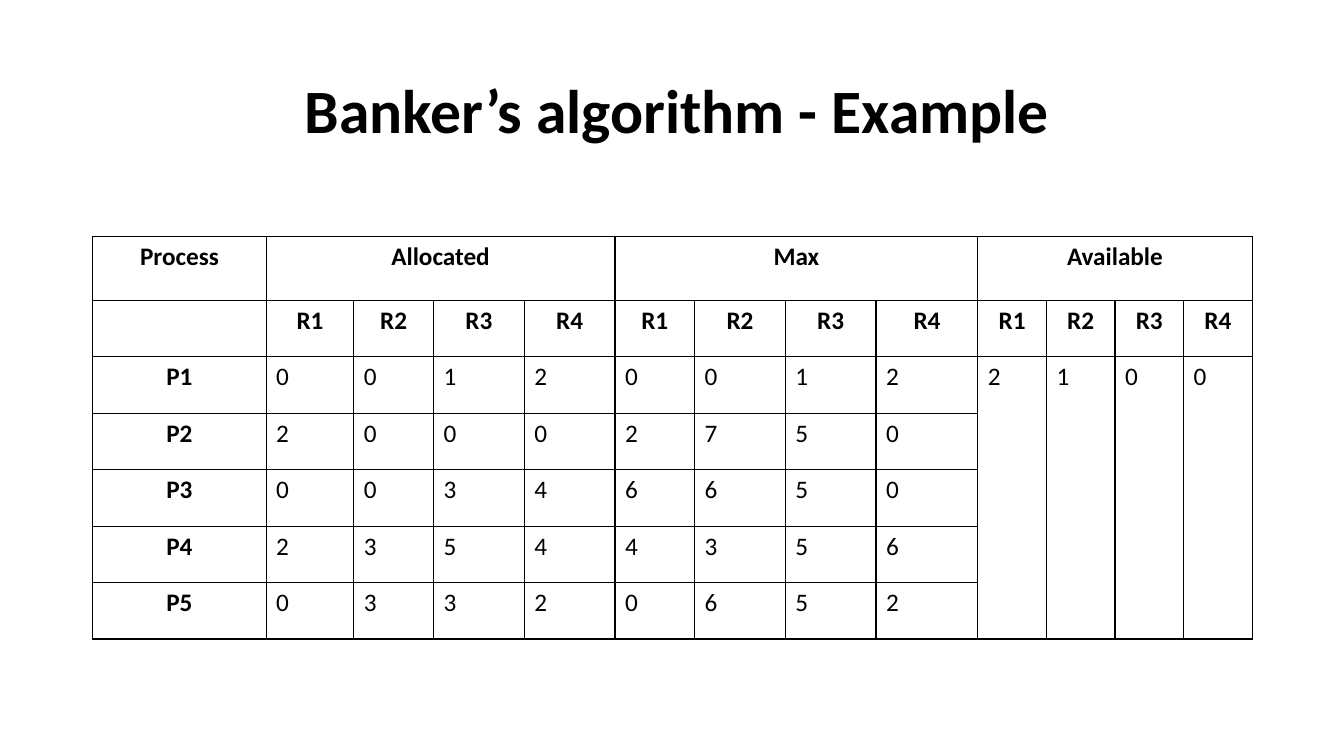
from lxml import etree
from pptx import Presentation, util as u
from pptx.dml.color import RGBColor
from pptx.enum import text
from pptx.oxml.ns import qn

BLACK = RGBColor(0x00, 0x00, 0x00)
SLIDE_W, SLIDE_H = 13.33, 7.5
LEFT, CONTENT_W = 0.92, 11.5

COL_WIDTHS = [1.72, 0.87, 0.79, 0.9, 0.9, 0.79, 0.9, 0.9, 1.01] + [0.68] * 4
HEADER_H, ROW_H = 0.63, 0.56
GROUPS = ["Allocated", "Max", "Available"]
RESOURCES = ["R1", "R2", "R3", "R4"]
PROCESSES = {
    "P1": "00120012",
    "P2": "20002750",
    "P3": "00346650",
    "P4": "23544356",
    "P5": "03320652",
}
AVAILABLE = "2100"


def format_font(font, **values):
    font.color.rgb = BLACK
    for name, value in {"name": "Calibri", **values}.items():
        setattr(font, name, value)


def add_title(s, box, title):
    sp = s.shapes.title
    sp.left, sp.top, sp.width, sp.height = map(u.Inches, box)
    tf = sp.text_frame
    tf.text = title
    frame = {"word_wrap": True, "vertical_anchor": text.MSO_ANCHOR.MIDDLE,
             "margin_left": u.Inches(2.1)}
    for name, value in frame.items():
        setattr(tf, name, value)
    p = tf.paragraphs[0]
    p.alignment = text.PP_ALIGN.LEFT
    p.line_spacing = 0.9
    format_font(p.runs[0].font, size=u.Pt(44), bold=True)


def outline_cell(cell):
    tc_pr = cell._tc.get_or_add_tcPr()
    for side in ("lnL", "lnR", "lnT", "lnB"):
        ln = etree.SubElement(tc_pr, qn("a:" + side), w=str(u.Pt(1)))
        fill = etree.SubElement(ln, qn("a:solidFill"))
        etree.SubElement(fill, qn("a:srgbClr"), val=str(BLACK))
    cell.fill.background()


def write_cell(cell, value, heading):
    p = cell.text_frame.paragraphs[0]
    p.alignment = text.PP_ALIGN.CENTER if heading else text.PP_ALIGN.LEFT
    format_font(p.font, size=u.Pt(18), bold=heading)
    if value:
        r = p.add_run()
        r.text = value
        format_font(r.font, size=u.Pt(18), bold=heading)


def table_rows():
    """Return the cell texts, with blanks where merged cells continue."""
    rows = [["Process"], [""] + RESOURCES * len(GROUPS)]
    for group in GROUPS:
        rows[0] += [group] + [""] * (len(RESOURCES) - 1)
    for i, (process, digits) in enumerate(PROCESSES.items()):
        available = list(AVAILABLE) if i == 0 else [""] * len(AVAILABLE)
        rows.append([process, *digits, *available])
    return rows


def add_allocation_table(s, left, top, width):
    rows = table_rows()
    heights = [HEADER_H] + [ROW_H] * (len(rows) - 1)
    frame = s.shapes.add_table(len(rows), len(COL_WIDTHS), u.Inches(left), u.Inches(top),
                               u.Inches(width), u.Inches(sum(heights)))
    table = frame.table
    table.first_row = table.horz_banding = False
    for col, w in zip(table.columns, COL_WIDTHS):
        col.width = u.Inches(w)
    for row, h in zip(table.rows, heights):
        row.height = u.Inches(h)

    for i, values in enumerate(rows):
        for j, value in enumerate(values):
            cell = table.cell(i, j)
            outline_cell(cell)
            write_cell(cell, value, heading=i < 2 or j == 0)

    n = len(RESOURCES)
    for first in range(1, len(COL_WIDTHS), n):
        table.cell(0, first).merge(table.cell(0, first + n - 1))
    for j in range(len(COL_WIDTHS) - n, len(COL_WIDTHS)):
        table.cell(2, j).merge(table.cell(len(rows) - 1, j))


def main():
    prs = Presentation()
    prs.slide_width, prs.slide_height = u.Inches(SLIDE_W), u.Inches(SLIDE_H)
    s = prs.slides.add_slide(prs.slide_layouts[5])
    add_title(s, (LEFT, 0.4, CONTENT_W, 1.45), "Banker’s algorithm - Example")
    add_allocation_table(s, LEFT, 2.35, CONTENT_W)
    prs.save("out.pptx")


if __name__ == "__main__":
    main()
